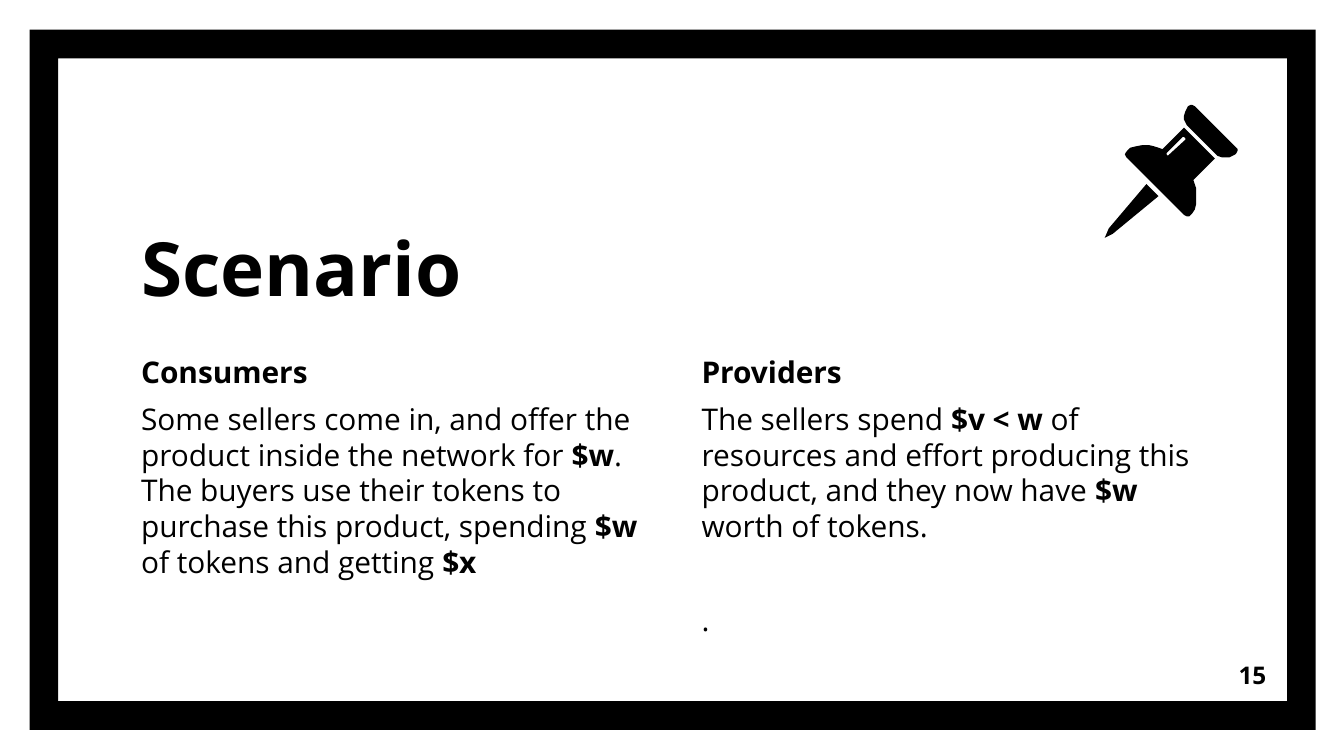
from pptx import Presentation
from pptx.dml.color import RGBColor
from pptx.enum.shapes import MSO_SHAPE as Shape
from pptx.enum.text import MSO_ANCHOR as Anchor, MSO_AUTO_SIZE as Fit, PP_ALIGN as Align
from pptx.util import Inches, Pt

# Content: words between asterisks are bold; each paragraph has its space before
TITLE, PAGE = "Scenario", "15"
COLS = [
    [("*Consumers*", 6),
     ("Some sellers come in, and offer the product inside the network for *$w*. "
      "The buyers use their tokens to purchase this product, spending *$w* "
      "of tokens and getting *$x*", 6)],
    [("*Providers*", 6),
     ("The sellers spend *$v < w* of resources and effort producing this product, "
      "and they now have *$w* worth of tokens.", 6),
     (".", 31)],
]

# Pushpin outlines in hundredths of an inch; a part may hold several contours
NEEDLE = [(853, 137), (825, 170), (822, 177), (828, 174), (862, 146)]
CAP = [(886, 78), (884, 79), (883, 81), (882, 83), (881, 86), (881, 89),
       (882, 91), (883, 93), (906, 116), (909, 117), (912, 117),
       (915, 117), (917, 116), (919, 115), (920, 114), (921, 112),
       (921, 111), (920, 110), (889, 79), (887, 78)]
SHINE = [(881, 102), (882, 103), (882, 104), (870, 115), (869, 116),
         (868, 115), (868, 114), (880, 102)]
BODY = [(881, 95), (865, 111), (862, 110), (859, 109), (855, 108),
        (850, 108), (845, 109), (841, 110), (838, 113), (837, 115),
        (838, 117), (881, 160), (883, 161), (885, 161), (887, 159),
        (889, 156), (890, 152), (890, 140), (889, 137), (888, 134),
        (904, 118)]
PIN = [[NEEDLE], [CAP], [BODY, SHINE]]

INK, FONT = "000000", "Open Sans"
LEFT, TOP, WIDE, HIGH, GAP = .95, 2.53, 3.93, 2.33, .24


def color(code):
    return RGBColor.from_string(code)


def paint(shape):
    shape.shadow.inherit = False
    shape.fill.solid()
    shape.fill.fore_color.rgb = color(INK)
    shape.line.fill.background()


def place(shape, *box):
    shape.left, shape.top, shape.width, shape.height = map(Inches, box)


def frame_text(shape, anchor):
    text = shape.text_frame
    text.word_wrap, text.auto_size = True, Fit.NONE
    text.vertical_anchor = anchor
    text.margin_left = text.margin_right = Inches(.1)
    text.margin_top = text.margin_bottom = Inches(.1)
    return text


def style(para, size, align=Align.LEFT, bold=None):
    para.alignment = align
    font = para.font
    font.size, font.name, font.bold = Pt(size), FONT, bold
    font.color.rgb = color(INK)


def write(para, words, before):
    style(para, 16)
    para.space_before = Pt(before)
    props = para._p.get_or_add_pPr()
    props.set("marL", "0")
    props.set("indent", "0")
    mark = props.makeelement(
        "{http://schemas.openxmlformats.org/drawingml/2006/main}buNone", {})
    props.insert_element_before(mark, "a:tabLst", "a:defRPr", "a:extLst")
    for i, part in enumerate(words.split("*")):
        if part:
            run = para.add_run()
            run.text, run.font.bold = part, i % 2 == 1


deck = Presentation()
deck.slide_width, deck.slide_height = Inches(10), Inches(5.625)
slide = deck.slides.add_slide(deck.slide_layouts[3])
shapes = slide.shapes
title, *bodies = slide.placeholders

# Border, behind all else
border = shapes.add_shape(Shape.FRAME, 0, 0, 0, 0)
place(border, .22, .22, 9.57, 5.21)
border.adjustments[0] = .041
paint(border)
shapes._spTree.insert(2, border._element)

# Title
place(title, LEFT, .93, 5.57, 1.49)
text = frame_text(title, Anchor.BOTTOM)
text.text = TITLE
style(text.paragraphs[0], 40, bold=True)

# Two columns
for col, (body, paras) in enumerate(zip(bodies, COLS)):
    place(body, LEFT + col * (WIDE + GAP), TOP, WIDE, HIGH)
    text = frame_text(body, Anchor.TOP)
    for i, (words, before) in enumerate(paras):
        para = text.add_paragraph() if i else text.paragraphs[0]
        write(para, words, before)

# Pushpin
pin = shapes.add_group_shape()
for part in PIN:
    pen = pin.shapes.build_freeform(*part[0][0], scale=Inches(.01))
    for i, points in enumerate(part):
        if i:
            pen.move_to(*points[0])
        pen.add_line_segments(points[1:], close=True)
    paint(pen.convert_to_shape())

# Page number
page = shapes.add_textbox(0, 0, 0, 0)
place(page, 8.92, 4.81, .6, .43)
text = frame_text(page, Anchor.MIDDLE)
text.text = PAGE
style(text.paragraphs[0], 13, Align.RIGHT, True)

deck.save("out.pptx")
